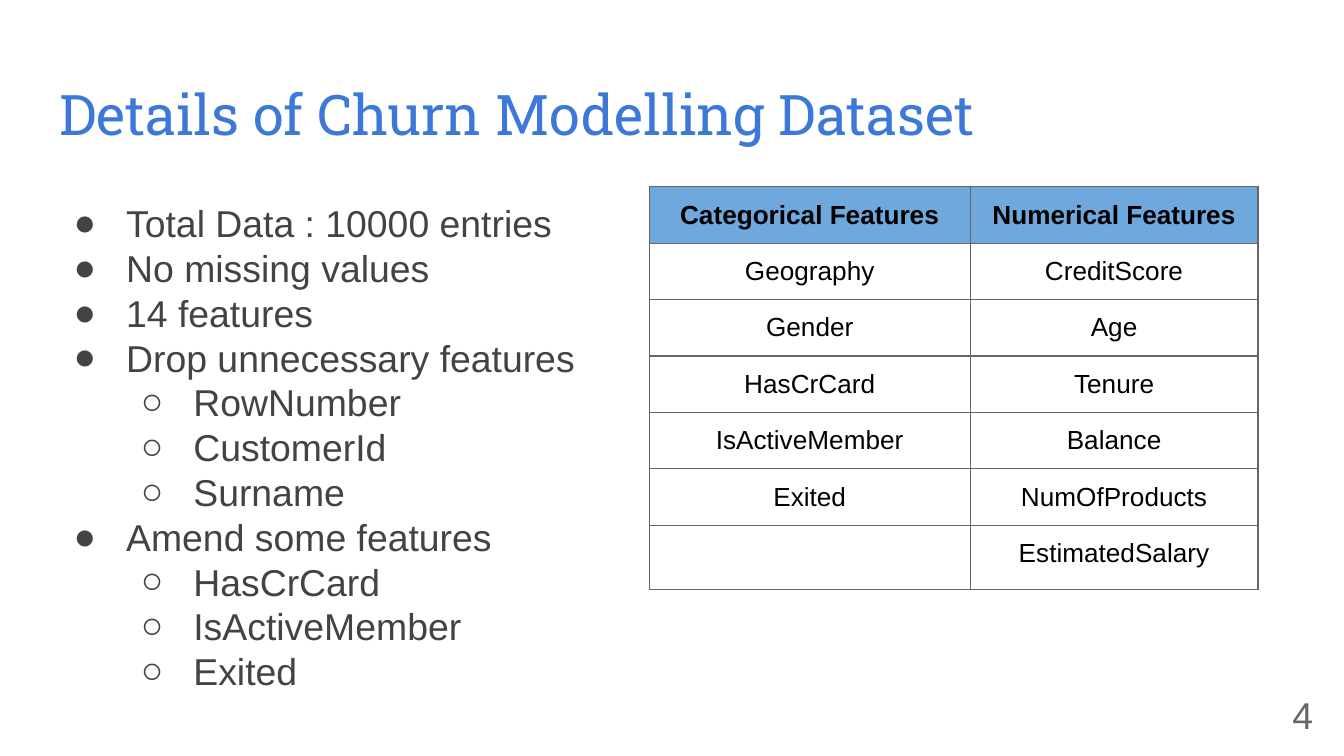
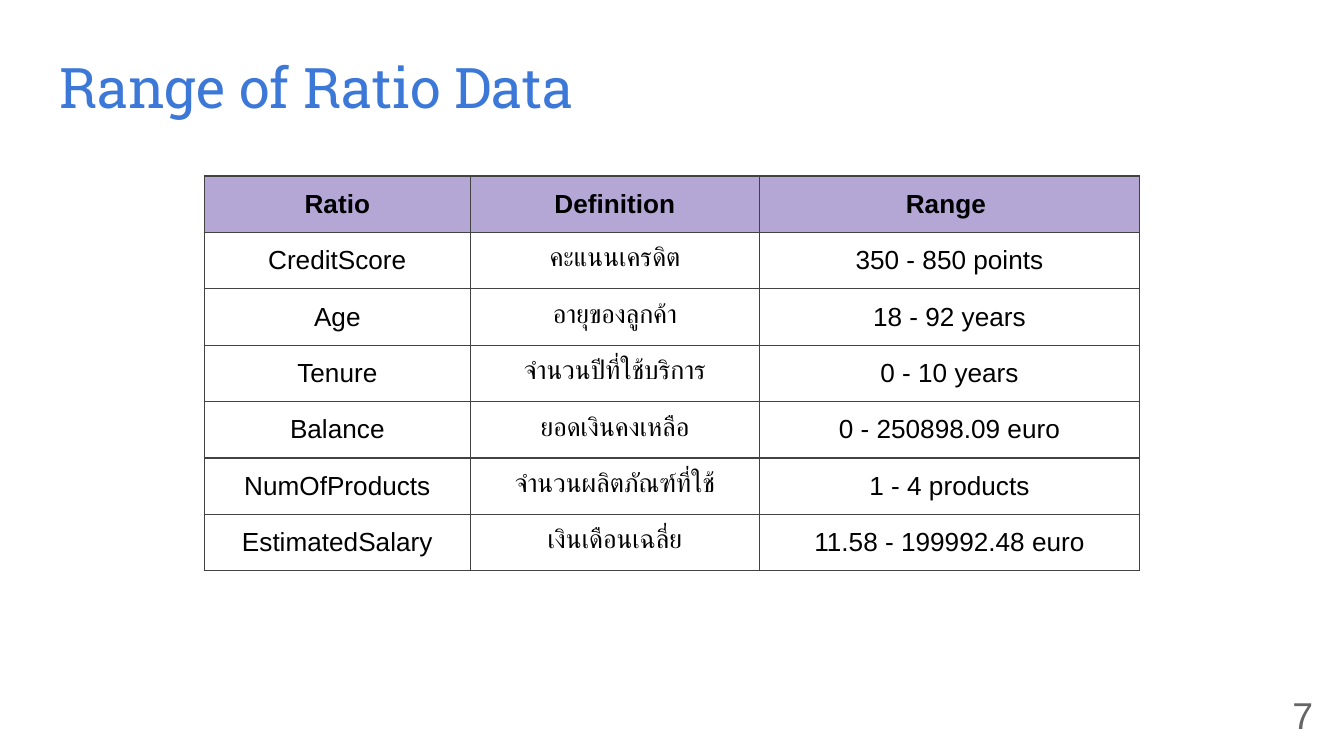
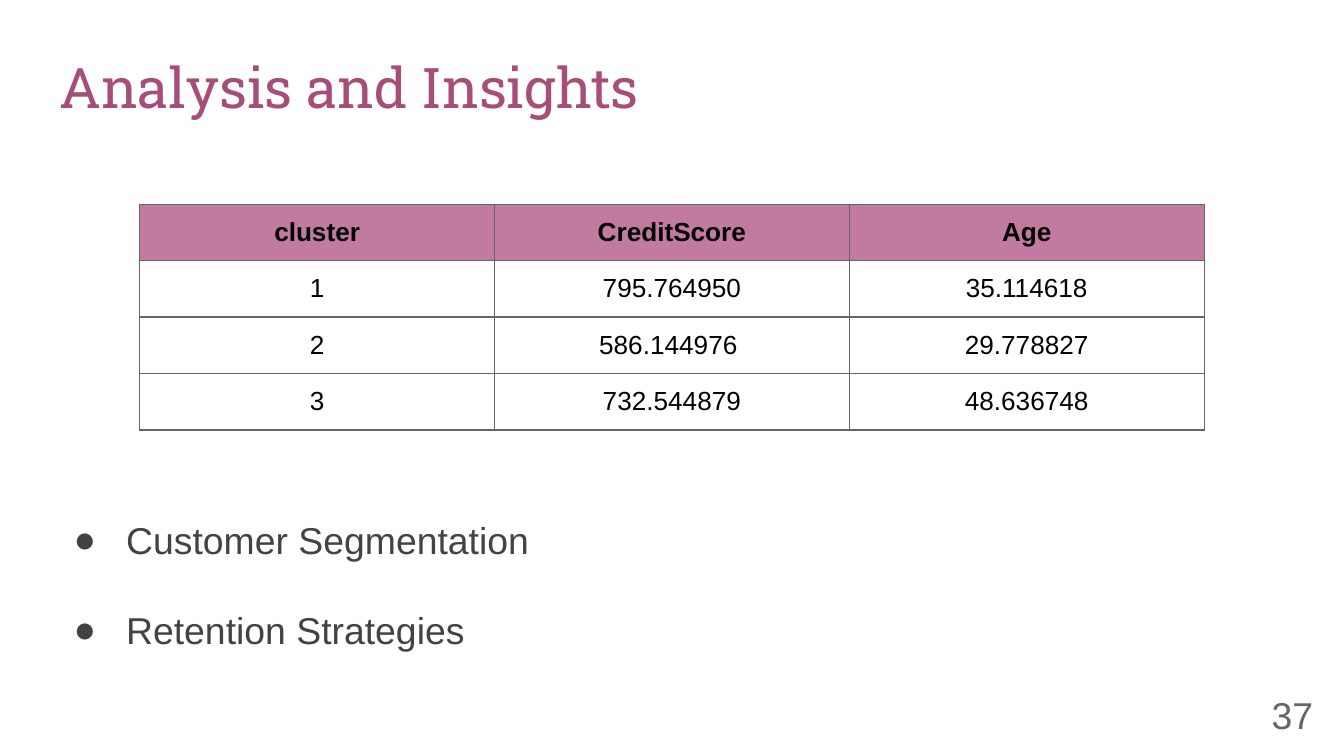
"""Build three slides on a bank churn dataset."""
from lxml import etree
from pptx import Presentation
from pptx.dml.color import RGBColor
from pptx.enum import text
from pptx.oxml import ns
from pptx.util import Inches, Pt

BLUE, PLUM, GREY, DARK, BLACK = "3C78D8", "A64D79", "666666", "434343", "000000"
HEAD, BODY = "Roboto Slab", "Arial"
ROW = 0.42
LEFT, MID, RIGHT = text.PP_ALIGN.LEFT, text.PP_ALIGN.CENTER, text.PP_ALIGN.RIGHT
TOP, CENTER = text.MSO_ANCHOR.TOP, text.MSO_ANCHOR.MIDDLE


def color(code):
    """Turn a hex string into a colour."""
    return RGBColor.from_string(code)


def child(node, tag, **attrs):
    """Append a drawing element with its attributes."""
    return etree.SubElement(node, ns.qn(tag), attrs)


def style(para, size, code, font=BODY, bold=False, align=LEFT):
    """Align a paragraph and format its runs, or its end if it has none."""
    para.alignment = align
    for run in para.runs:
        run.font.name = font
        run.font.size = Pt(size)
        run.font.bold = bold
        run.font.color.rgb = color(code)
    if not para.runs:
        child(para._p, "a:endParaRPr", sz=str(size * 100))


def setup(frame, anchor=TOP):
    """Give a text frame wrapping, equal insets and an anchor."""
    frame.word_wrap = True
    frame.auto_size = text.MSO_AUTO_SIZE.NONE
    frame.vertical_anchor = anchor
    frame.margin_left = frame.margin_right = Inches(0.1)
    frame.margin_top = frame.margin_bottom = Inches(0.1)


def add_box(slide, left, top, width, height, anchor=TOP):
    """Add a text box and return its frame."""
    box = slide.shapes.add_textbox(
        Inches(left), Inches(top), Inches(width), Inches(height))
    setup(box.text_frame, anchor)
    return box.text_frame


def add_slide(deck, title, number, code=BLUE, top=0.29):
    """Add a slide with its title and page number."""
    slide = deck.slides.add_slide(deck.slide_layouts[5])
    head = slide.shapes.title
    head.left, head.top = Inches(0.34), Inches(top)
    head.width, head.height = Inches(9.32), Inches(0.63)
    setup(head.text_frame)
    head.text_frame.text = title
    style(head.text_frame.paragraphs[0], 30, code, HEAD)
    page = add_box(slide, 9.27, 5.1, 0.6, 0.43, CENTER)
    page.text = str(number)
    style(page.paragraphs[0], 20, GREY, align=RIGHT)
    return slide


def add_list(slide, place, items, gap=0):
    """Add a bullet list of (level, words) items."""
    frame = add_box(slide, *place)
    frame.text = "\n".join(words for level, words in items)
    for index, (para, (level, words)) in enumerate(zip(frame.paragraphs, items)):
        para.level = level
        para.space_before = Pt(gap if index else 0)
        style(para, 20, DARK)
        props = para._p.get_or_add_pPr()
        props.set("marL", str(Inches(0.5 * (level + 1))))
        props.set("indent", str(-Inches(0.39)))
        child(child(props, "a:buClr"), "a:srgbClr", val=DARK)
        child(props, "a:buFont", typeface=BODY)
        child(props, "a:buChar", char="●○"[level])


def add_edges(cell, code):
    """Draw thin lines on the four sides of a cell."""
    props = cell._tc.get_or_add_tcPr()
    for spot, side in enumerate("LRTB"):
        line = etree.Element(ns.qn(f"a:ln{side}"), w=str(Pt(0.75)))
        child(child(line, "a:solidFill"), "a:srgbClr", val=code)
        props.insert(spot, line)


def add_grid(slide, left, top, widths, rows, fill, edge=GREY, anchor=TOP, last=ROW):
    """Add a table whose first row is a filled header."""
    heights = [ROW] * (len(rows) - 1) + [last]
    grid = slide.shapes.add_table(
        len(rows), len(widths), Inches(left), Inches(top),
        Inches(sum(widths)), Inches(sum(heights))).table
    grid.horz_banding = False
    for column, width in zip(grid.columns, widths):
        column.width = Inches(width)
    for r, words in enumerate(rows):
        grid.rows[r].height = Inches(heights[r])
        for c, word in enumerate(words):
            cell = grid.cell(r, c)
            cell.text = word
            cell.vertical_anchor = anchor
            cell.margin_left = cell.margin_right = Inches(0.1)
            cell.margin_top = cell.margin_bottom = Inches(0.1)
            style(cell.text_frame.paragraphs[0], 14, BLACK, bold=r == 0, align=MID)
            if r == 0:
                cell.fill.solid()
                cell.fill.fore_color.rgb = color(fill)
            else:
                cell.fill.background()
            add_edges(cell, edge)


def add_details(deck):
    """Add the slide on the dataset's features."""
    slide = add_slide(deck, "Details of Churn Modelling Dataset", 4, top=0.49)
    add_list(slide, (0.34, 1.39, 4.21, 4.14), [
        (0, "Total Data : 10000 entries"),
        (0, "No missing values"),
        (0, "14 features"),
        (0, "Drop unnecessary features"),
        (1, "RowNumber"),
        (1, "CustomerId"),
        (1, "Surname"),
        (0, "Amend some features"),
        (1, "HasCrCard"),
        (1, "IsActiveMember"),
        (1, "Exited"),
    ])
    add_grid(slide, 4.83, 1.39, [2.39, 2.14], [
        ("Categorical Features", "Numerical Features"),
        ("Geography", "CreditScore"),
        ("Gender", "Age"),
        ("HasCrCard", "Tenure"),
        ("IsActiveMember", "Balance"),
        ("Exited", "NumOfProducts"),
        ("", "EstimatedSalary"),
    ], "6FA8DC", last=0.48)


def add_ranges(deck):
    """Add the slide on the ranges of ratio data."""
    slide = add_slide(deck, "Range of Ratio Data", 7)
    add_grid(slide, 1.52, 1.31, [1.98, 2.15, 2.83], [
        ("Ratio", "Definition", "Range "),
        ("CreditScore", "คะแนนเครดิต", "350 - 850 points"),
        ("Age", "อายุของลูกค้า", "18 - 92 years"),
        ("Tenure", "จำนวนปีที่ใช้บริการ", "0 - 10 years"),
        ("Balance", "ยอดเงินคงเหลือ", "0 - 250898.09 euro"),
        ("NumOfProducts", "จำนวนผลิตภัณฑ์ที่ใช้", "1 - 4 products"),
        ("EstimatedSalary", "เงินเดือนเฉลี่ย", "11.58 - 199992.48 euro"),
    ], "B4A7D6", "424242")


def add_insights(deck):
    """Add the slide on the clusters found."""
    slide = add_slide(deck, "Analysis and Insights", 37, PLUM)
    add_grid(slide, 1.04, 1.52, [2.64] * 3, [
        ("cluster", "CreditScore", "Age"),
        ("1", "795.764950", "35.114618"),
        ("2", "586.144976 ", "29.778827"),
        ("3", "732.544879", "48.636748"),
    ], "C27BA0", anchor=CENTER)
    add_list(slide, (0.34, 3.75, 4.66, 1.21), [
        (0, "Customer Segmentation"),
        (0, "Retention Strategies"),
    ], gap=24)


def main():
    """Build the deck and save it."""
    deck = Presentation()
    deck.slide_width = Inches(10)
    deck.slide_height = deck.slide_width * 9 // 16
    add_details(deck)
    add_ranges(deck)
    add_insights(deck)
    deck.save("out.pptx")


if __name__ == "__main__":
    main()
